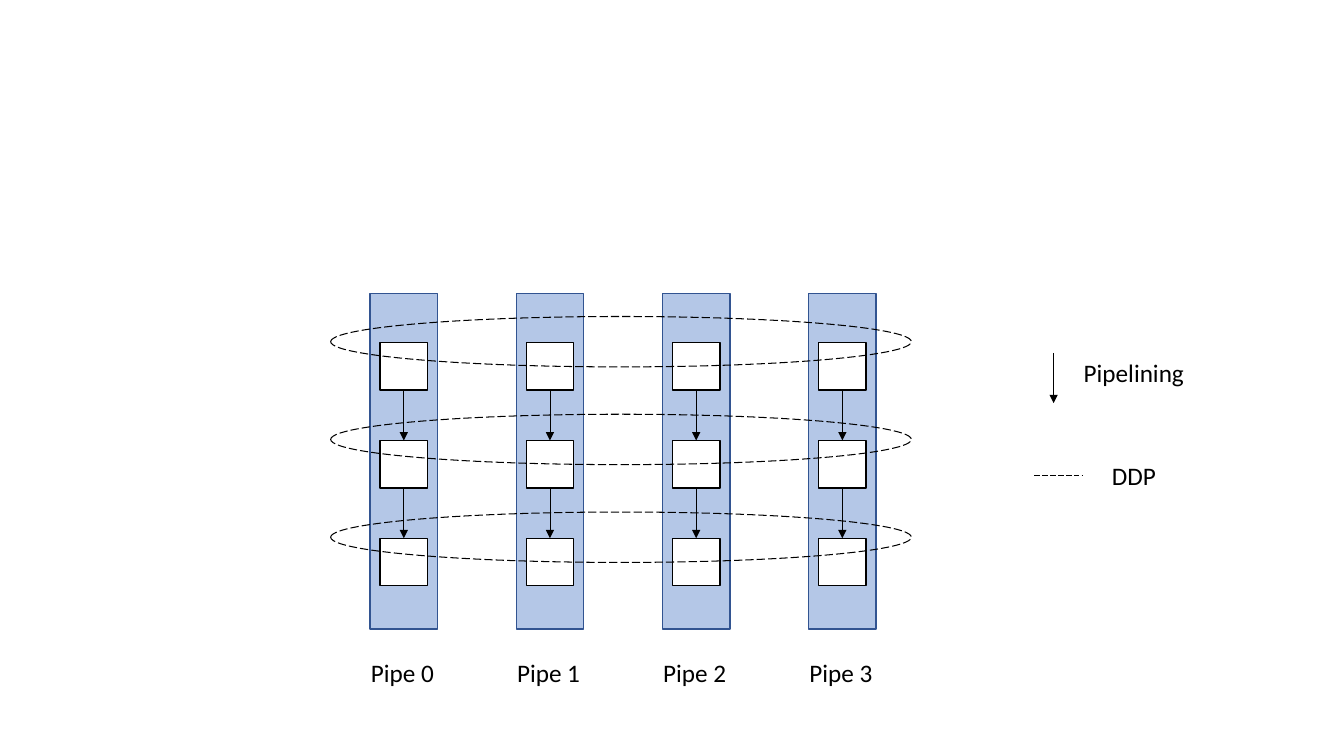
from pptx import Presentation
from pptx.dml.color import RGBColor
from pptx.enum.dml import MSO_LINE
from pptx.enum.shapes import MSO_CONNECTOR, MSO_SHAPE
from pptx.enum.text import MSO_AUTO_SIZE
from pptx.oxml.ns import qn
from pptx.util import Inches, Pt
from lxml import etree

PIPES = ["Pipe 0", "Pipe 1", "Pipe 2", "Pipe 3"]
STAGES = 3
BLACK, WHITE, BLUE, NAVY = "000000", "FFFFFF", "B4C7E7", "325491"

# Lengths in inches
LEFT, TOP, STEP = 3.67, 2.91, 1.45
BAR_W, BAR_H = 0.67, 3.33
BOX, BOX_TOP, ROW = 0.47, 3.4, 0.97
RING_LEFT, RING_TOP, RING_W, RING_H = 3.28, 3.14, 5.76, 0.5
NAME_TOP, NAME_W, NAME_H = 6.47, 0.83, 0.4

deck = Presentation()
deck.slide_width, deck.slide_height = Inches(13.33), Inches(7.5)
slide = deck.slides.add_slide(deck.slide_layouts[6])


def color(code):
    """Turn a hex string into a colour."""
    return RGBColor.from_string(code)


def add_form(kind, x, y, w, h, fill, edge, width=1, dash=None):
    """Draw a preset shape; no fill code leaves it open."""
    form = slide.shapes.add_shape(kind, Inches(x), Inches(y), Inches(w), Inches(h))
    form.shadow.inherit = False
    if fill:
        form.fill.solid()
        form.fill.fore_color.rgb = color(fill)
    else:
        form.fill.background()
    form.line.color.rgb = color(edge)
    form.line.width = Pt(width)
    if dash:
        form.line.dash_style = dash


def add_line(x1, y1, x2, y2, dash=None, arrow=False):
    """Draw a thin black line, dashed or with an arrowhead at its end."""
    link = slide.shapes.add_connector(
        MSO_CONNECTOR.STRAIGHT, Inches(x1), Inches(y1), Inches(x2), Inches(y2))
    link.line.color.rgb = color(BLACK)
    link.line.width = Pt(0.5)
    if dash:
        link.line.dash_style = dash
    if arrow:
        etree.SubElement(link.line._get_or_add_ln(), qn("a:tailEnd"), type="triangle")
    etree.SubElement(link._element.spPr, qn("a:effectLst"))


def add_label(text, x, y, w):
    """Write a one-line label that grows with its text."""
    box = slide.shapes.add_textbox(Inches(x), Inches(y), Inches(w), Inches(NAME_H))
    frame = box.text_frame
    frame.word_wrap = False
    frame.auto_size = MSO_AUTO_SIZE.SHAPE_TO_FIT_TEXT
    frame.text = text
    font = frame.paragraphs[0].font
    font.name, font.size = "Calibri", Pt(18)
    font.color.rgb = color(BLACK)


# Pipes with their stages
for col, name in enumerate(PIPES):
    x = LEFT + col * STEP
    mid = x + BAR_W / 2
    add_form(MSO_SHAPE.RECTANGLE, x, TOP, BAR_W, BAR_H, BLUE, NAVY)
    for row in range(STAGES):
        y = BOX_TOP + row * ROW
        add_form(MSO_SHAPE.RECTANGLE, mid - BOX / 2, y, BOX, BOX, WHITE, BLACK)
        if row < STAGES - 1:
            add_line(mid, y + BOX, mid, y + ROW, arrow=True)
    add_label(name, mid - NAME_W / 2 - 0.01, NAME_TOP, NAME_W)

# Rings across the pipes
for row in range(STAGES):
    add_form(MSO_SHAPE.OVAL, RING_LEFT, RING_TOP + row * ROW, RING_W, RING_H,
             None, BLACK, 0.75, MSO_LINE.LONG_DASH)

# Legend
add_line(10.45, 3.5, 10.45, 4, arrow=True)
add_label("Pipelining", 10.65, 3.5, 1.21)
add_line(10.26, 4.72, 10.73, 4.72, dash=MSO_LINE.LONG_DASH)
add_label("DDP", 10.93, 4.52, 0.64)

deck.save("out.pptx")
